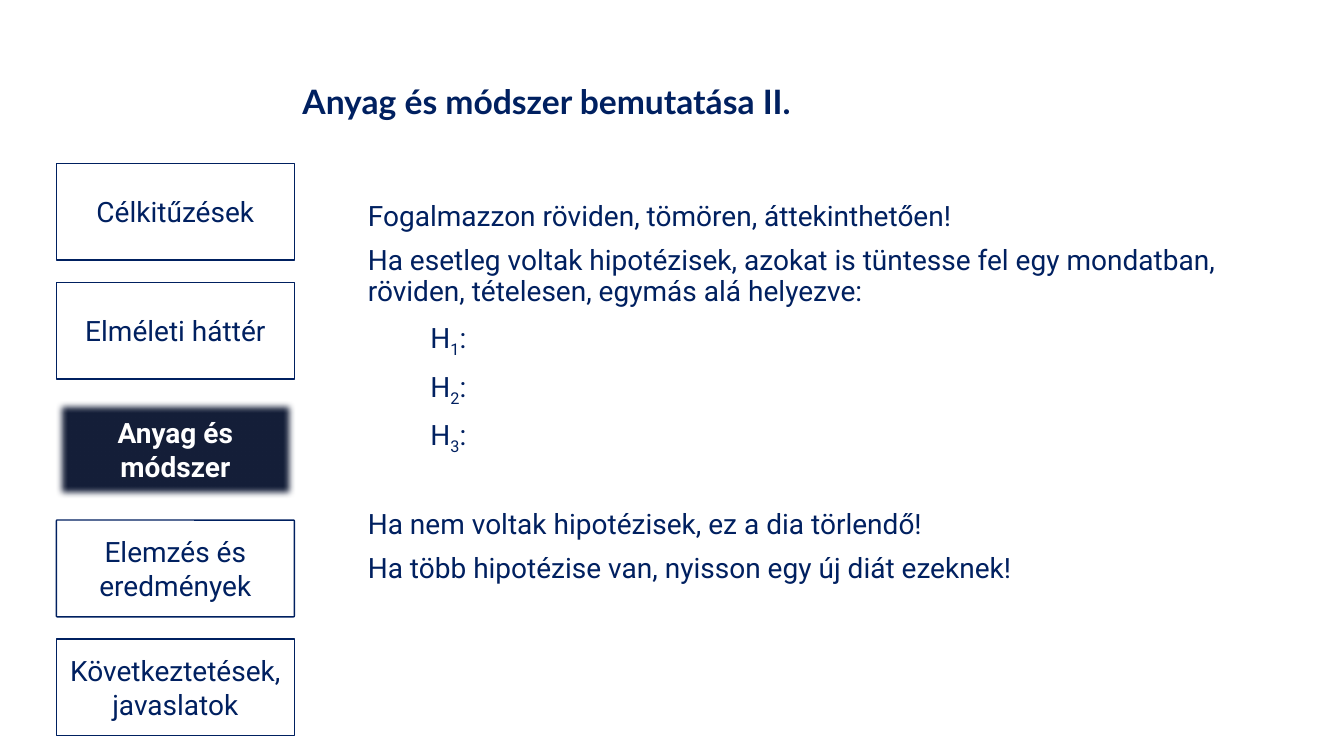
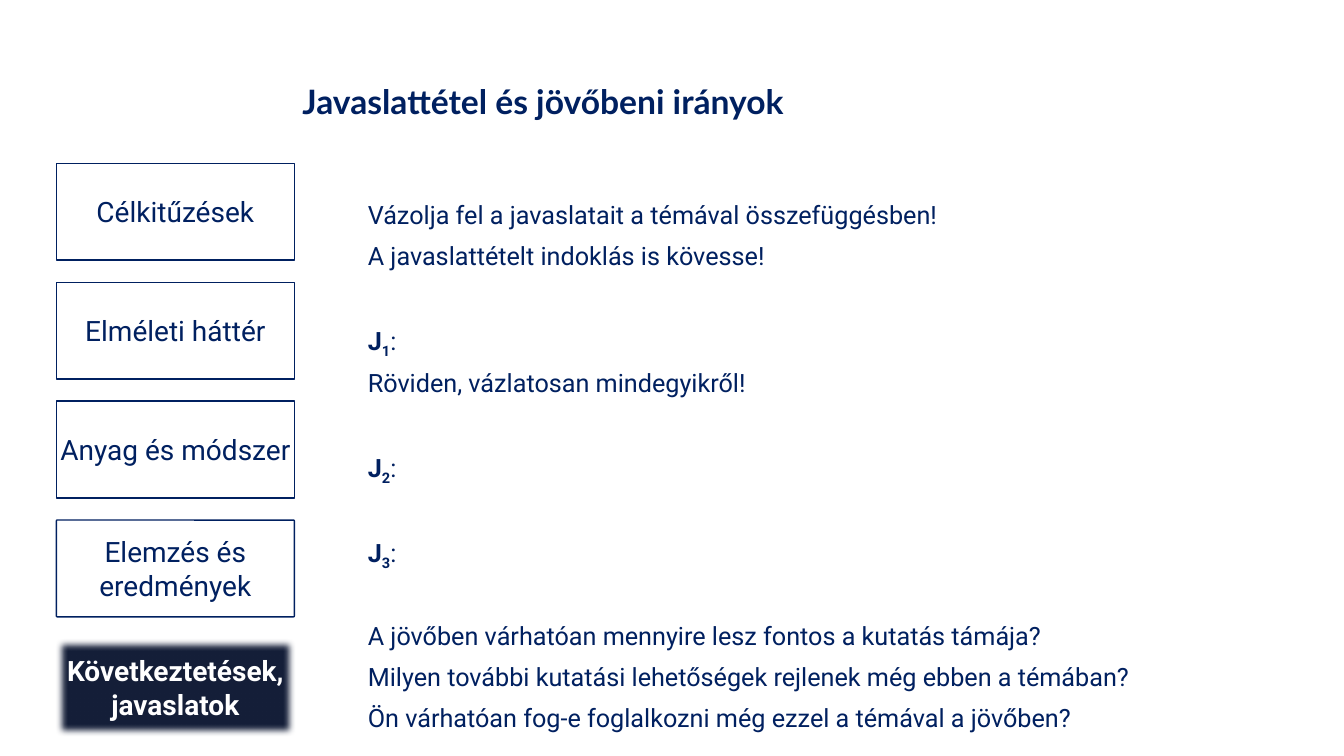
from dataclasses import dataclass

from pptx import Presentation
from pptx import util as u
from pptx.dml.color import RGBColor
from pptx.enum import shapes, text
from pptx.oxml.ns import qn
from lxml import etree

NAVY = RGBColor(0x00, 0x20, 0x60)
DARK = RGBColor(0x15, 0x1F, 0x39)
WHITE = RGBColor(0xFF, 0xFF, 0xFF)
HEAD, BODY = "Lato", "Roboto"

# Side menu grid
LEFT, TOP, WIDE, HIGH, STEP = 0.56, 1.62, 2.36, 0.96, 1.18


@dataclass(frozen=True)
class Step:
    name: str
    bend: float = 0
    tight: bool = False  # no insets while not active


@dataclass(frozen=True)
class Line:
    words: str
    sub: str = ""  # subscript, followed by a colon
    bold: bool = False
    indent: float = 0
    gap: bool = False  # one line of air above


@dataclass(frozen=True)
class Page:
    title: str
    active: int
    size: int
    lines: tuple[Line, ...]


STEPS = (
    Step("Célkitűzések"),
    Step("Elméleti háttér"),
    Step("Anyag és módszer", tight=True),
    Step("Elemzés és eredmények", bend=0.008),
    Step("Következtetések, javaslatok"),
)

PAGES = (
    Page("Anyag és módszer bemutatása II.", 2, 20, (
        Line("Fogalmazzon röviden, tömören, áttekinthetően!"),
        Line("Ha esetleg voltak hipotézisek, azokat is tüntesse fel egy mondatban, "
             "röviden, tételesen, egymás alá helyezve:"),
        *(Line("H", sub, indent=0.62) for sub in "123"),
        Line("Ha nem voltak hipotézisek, ez a dia törlendő!", gap=True),
        Line("Ha több hipotézise van, nyisson egy új diát ezeknek!"),
    )),
    Page("Javaslattétel és jövőbeni irányok", 4, 18, (
        Line("Vázolja fel a javaslatait a témával összefüggésben!"),
        Line("A javaslattételt indoklás is kövesse!"),
        Line("J", "1", bold=True, gap=True),
        Line("Röviden, vázlatosan mindegyikről!"),
        Line("J", "2", bold=True, gap=True),
        Line("J", "3", bold=True, gap=True),
        Line("A jövőben várhatóan mennyire lesz fontos a kutatás támája?", gap=True),
        Line("Milyen további kutatási lehetőségek rejlenek még ebben a témában?"),
        Line("Ön várhatóan fog-e foglalkozni még ezzel a témával a jövőben?"),
    )),
)


def style(para, face: str, size: int, color: RGBColor, bold: bool = False) -> None:
    font = para.font
    font.name, font.size, font.bold = face, u.Pt(size), bold
    font.color.rgb = color


def add_title(slide, words: str) -> None:
    title = slide.shapes.title
    title.left, title.top = u.Inches(2.9), u.Inches(0.76)
    title.width, title.height = u.Inches(9.19), u.Inches(0.5)
    frame = title.text_frame
    frame.text = words
    frame.auto_size = text.MSO_AUTO_SIZE.NONE
    frame.vertical_anchor = text.MSO_ANCHOR.BOTTOM
    para = frame.paragraphs[0]
    para.alignment = text.PP_ALIGN.LEFT
    para.line_spacing = 0.9
    style(para, HEAD, 24, NAVY, True)


def add_step(slide, row: int, step: Step, active: bool) -> None:
    box = slide.shapes.add_shape(
        shapes.MSO_SHAPE.ROUNDED_RECTANGLE, u.Inches(LEFT),
        u.Inches(TOP + row * STEP), u.Inches(WIDE), u.Inches(HIGH))
    box.adjustments[0] = step.bend
    box.shadow.inherit = False
    box.fill.solid()
    box.fill.fore_color.rgb = DARK if active else WHITE
    box.line.color.rgb = DARK if active else NAVY
    box.line.width = u.Pt(1)
    if active:
        # Soft edge on the current step
        effects = box._element.spPr.find(qn("a:effectLst"))
        etree.SubElement(effects, qn("a:softEdge"), rad=str(u.Pt(5)))
    frame = box.text_frame
    frame.word_wrap = True
    frame.vertical_anchor = text.MSO_ANCHOR.MIDDLE
    if step.tight and not active:
        frame.margin_left = frame.margin_right = 0
        frame.margin_top = frame.margin_bottom = 0
    frame.text = step.name
    para = frame.paragraphs[0]
    para.alignment = text.PP_ALIGN.CENTER
    style(para, BODY, 20, WHITE if active else NAVY, active)


def add_run(para, words: str, bold: bool, base: int = 0) -> None:
    run = para.add_run()
    run.text = words
    if bold:
        run.font.bold = True
    if base:
        run._r.get_or_add_rPr().set("baseline", str(base))


def add_body(slide, lines: tuple[Line, ...], size: int) -> None:
    box = slide.shapes.add_textbox(
        u.Inches(3.55), u.Inches(1.96), u.Inches(8.83), u.Inches(4.03))
    frame = box.text_frame
    frame.word_wrap = True
    for row, line in enumerate(lines):
        para = frame.add_paragraph() if row else frame.paragraphs[0]
        para.line_spacing = 0.9
        if row:
            para.space_before = u.Pt(size + 21 if line.gap else 10)
        if line.indent:
            para._p.get_or_add_pPr().set("marL", str(u.Inches(line.indent)))
        style(para, BODY, size, NAVY)
        add_run(para, line.words, line.bold)
        if line.sub:
            add_run(para, line.sub, line.bold, -25000)
            add_run(para, ":", False)


def main() -> None:
    deck = Presentation()
    deck.slide_width, deck.slide_height = u.Inches(13.33), u.Inches(7.5)
    for page in PAGES:
        slide = deck.slides.add_slide(deck.slide_layouts[5])  # title only
        add_title(slide, page.title)
        for row, step in enumerate(STEPS):
            add_step(slide, row, step, row == page.active)
        add_body(slide, page.lines, page.size)
    deck.save("out.pptx")


if __name__ == "__main__":
    main()
